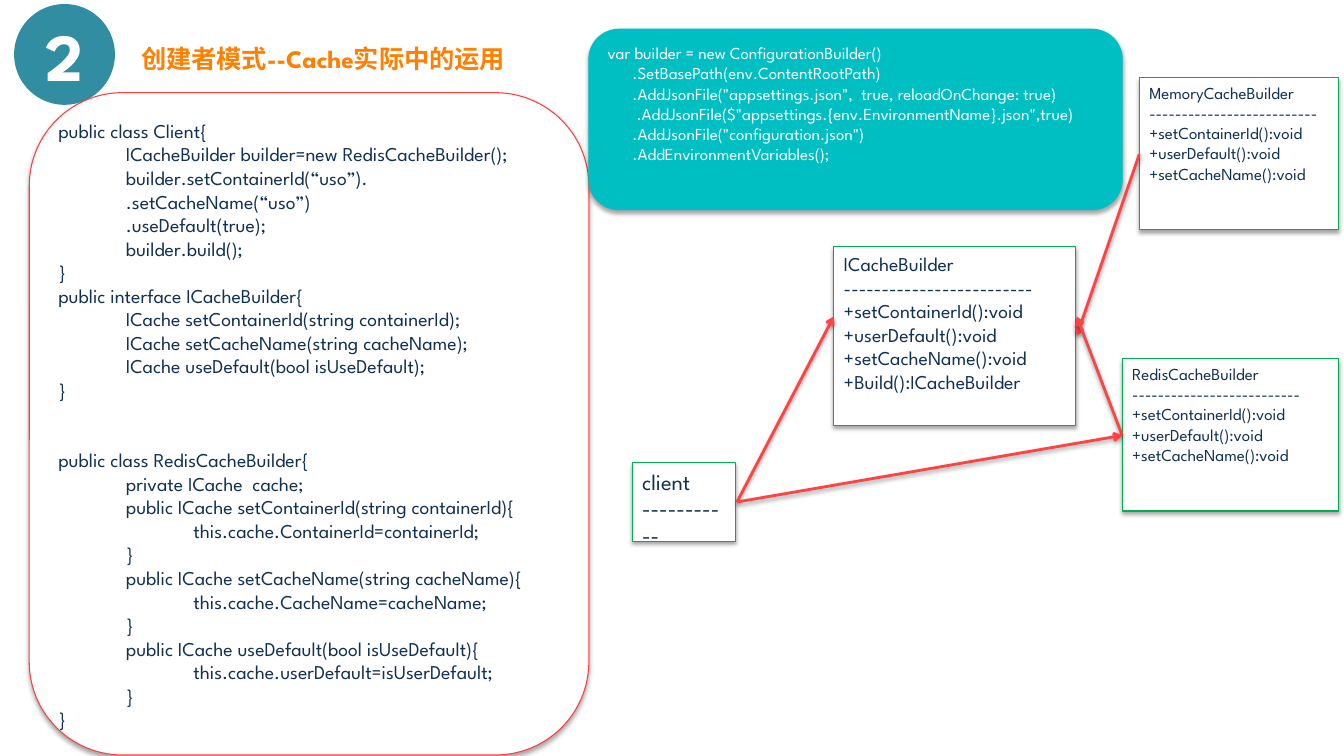
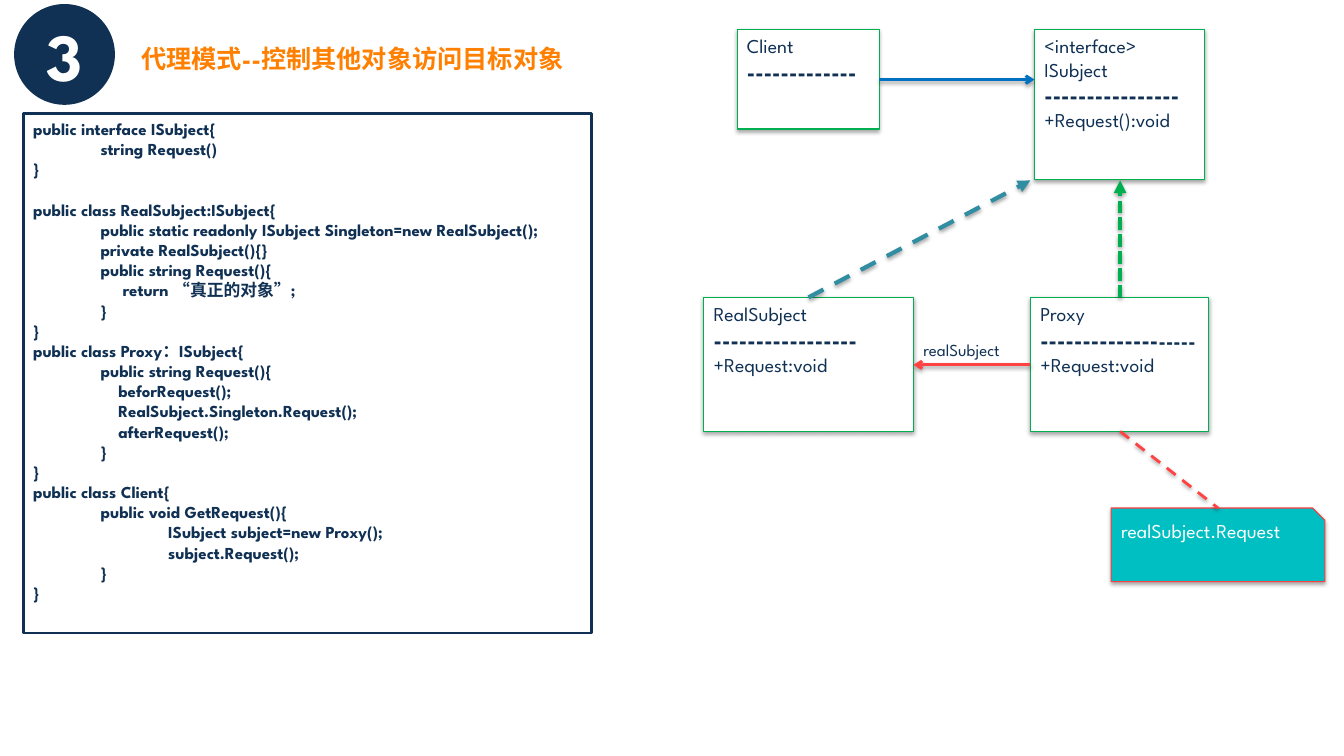
from dataclasses import dataclass
from typing import NamedTuple, Sequence

from lxml import etree
from pptx import Presentation
from pptx.dml.color import RGBColor
from pptx.enum.dml import MSO_LINE
from pptx.enum.shapes import MSO_CONNECTOR, MSO_SHAPE
from pptx.enum.text import MSO_ANCHOR, MSO_AUTO_SIZE, PP_ALIGN
from pptx.oxml.ns import qn
from pptx.util import Inches, Pt

RECTANGLE = MSO_SHAPE.RECTANGLE
ROUNDED = MSO_SHAPE.ROUNDED_RECTANGLE
SNIPPED = MSO_SHAPE.SNIP_1_RECTANGLE
OVAL = MSO_SHAPE.OVAL
STRAIGHT = MSO_CONNECTOR.STRAIGHT
DASH = MSO_LINE.DASH
SHORT_DASH = MSO_LINE.SQUARE_DOT
TOP, MIDDLE = MSO_ANCHOR.TOP, MSO_ANCHOR.MIDDLE
LEFT, CENTER = PP_ALIGN.LEFT, PP_ALIGN.CENTER

FONT = "League Spartan"
COLORS = {
    "white": "FFFFFF",
    "navy": "103154",
    "steel": "308DA2",
    "orange": "FF7F01",
    "teal": "00BFC3",
    "green": "00B050",
    "blue": "0070C0",
    "border_red": "FE3D3D",
    "arrow_red": "FF4343",
}
TITLE_ONLY = 5
TAB_STEP = 0.67
LINE_HEIGHT = 1.2


class Span(NamedTuple):
    text: str
    size: float | None = None
    bold: bool = False


Line = str | tuple[Span, ...]


class Area(NamedTuple):
    left: float
    top: float
    width: float
    height: float


@dataclass(frozen=True)
class Card:
    area: Area
    lines: Sequence[Line] = ()
    size: float = 14
    kind: MSO_SHAPE = RECTANGLE
    fill: str = "white"
    border: str | None = "green"
    border_width: float = 0.75
    text_color: str = "navy"
    bold: bool = False
    shadow: bool = True


@dataclass(frozen=True)
class Link:
    start: tuple[float, float]
    end: tuple[float, float]
    color: str = "arrow_red"
    width: float = 2
    dash: MSO_LINE | None = None
    head: str | None = "arrow"


def rule(count: int) -> tuple[Span, ...]:
    return (Span("-" * count, 16, True),)


def rgb(name: str) -> RGBColor:
    return RGBColor.from_string(COLORS[name])


def inches(values: Sequence[float]) -> list[int]:
    return [Inches(value) for value in values]


def add_tabs(paragraph) -> None:
    properties = paragraph._p.get_or_add_pPr()
    tab_list = etree.SubElement(properties, qn("a:tabLst"))
    for level in (1, 2):
        etree.SubElement(tab_list, qn("a:tab"), pos=str(Inches(TAB_STEP * level)), algn="l")


def add_shadow(shape, alpha: int, distance: float) -> None:
    effects = etree.SubElement(shape.element.spPr, qn("a:effectLst"))
    outer = etree.SubElement(
        effects, qn("a:outerShdw"), blurRad=str(Pt(3.1)), dist=str(Pt(distance)),
        dir="5400000", rotWithShape="0",
    )
    black = etree.SubElement(outer, qn("a:srgbClr"), val="000000")
    etree.SubElement(black, qn("a:alpha"), val=str(alpha * 1000))


def write_text(frame, lines: Sequence[Line], *, size: float, color: str = "navy",
               bold: bool = False, align: PP_ALIGN = LEFT, anchor: MSO_ANCHOR = TOP,
               line_spacing: float | None = None) -> None:
    frame.word_wrap = True
    frame.auto_size = MSO_AUTO_SIZE.NONE
    frame.vertical_anchor = anchor
    paragraph = None
    empty_lines = 0
    for line in lines:
        if not line:
            empty_lines += 1
            continue
        paragraph = frame.add_paragraph() if paragraph else frame.paragraphs[0]
        spans = (Span(line, bold=bold),) if isinstance(line, str) else line
        paragraph.alignment = align
        if line_spacing:
            paragraph.line_spacing = line_spacing
        if empty_lines:
            paragraph.space_before = Pt(empty_lines * size * LINE_HEIGHT)
            empty_lines = 0
        if any("\t" in span.text for span in spans):
            add_tabs(paragraph)
        for span in spans:
            run = paragraph.add_run()
            run.text = span.text
            run.font.name = FONT
            run.font.size = Pt(span.size or size)
            run.font.bold = span.bold
            run.font.color.rgb = rgb(color)


def add_card(slide, card: Card, align: PP_ALIGN = LEFT, anchor: MSO_ANCHOR = TOP) -> None:
    shape = slide.shapes.add_shape(card.kind, *inches(card.area))
    shape.fill.solid()
    shape.fill.fore_color.rgb = rgb(card.fill)
    if card.border:
        shape.line.color.rgb = rgb(card.border)
        shape.line.width = Pt(card.border_width)
    else:
        shape.line.fill.background()
    if card.shadow:
        add_shadow(shape, 35, 1.8)
    else:
        shape.shadow.inherit = False
    write_text(shape.text_frame, card.lines, size=card.size, color=card.text_color,
               bold=card.bold, align=align, anchor=anchor)


def add_text_box(slide, area: Area, lines: Sequence[Line], size: float) -> None:
    box = slide.shapes.add_textbox(*inches(area))
    write_text(box.text_frame, lines, size=size)


def add_link(slide, link: Link) -> None:
    connector = slide.shapes.add_connector(STRAIGHT, *inches(link.start + link.end))
    connector.line.color.rgb = rgb(link.color)
    connector.line.width = Pt(link.width)
    if link.dash:
        connector.line.dash_style = link.dash
    if link.head:
        outline = connector.element.spPr.find(qn("a:ln"))
        etree.SubElement(outline, qn("a:tailEnd"), type=link.head)
    add_shadow(connector, 38, 1.6)


def add_section_slide(presentation, number: str, color: str, title: str):
    slide = presentation.slides.add_slide(presentation.slide_layouts[TITLE_ONLY])
    heading = slide.shapes.title
    heading.left, heading.top, heading.width, heading.height = inches((1.3, 0.29, 8.54, 0.49))
    write_text(heading.text_frame, [title], size=18, color="orange", bold=True,
               anchor=MIDDLE, line_spacing=1.3)
    badge = Card(Area(0.14, 0.04, 1, 1), [number], 48, OVAL, color, None,
                 text_color="white", bold=True, shadow=False)
    add_card(slide, badge, CENTER, MIDDLE)
    return slide


CACHE_CODE = """public class Client{
\tICacheBuilder builder=new RedisCacheBuilder();
\tbuilder.setContainerId(“uso”).
\t.setCacheName(“uso”)
\t.useDefault(true);
\tbuilder.build();
}
public interface ICacheBuilder{
\tICache setContainerId(string containerId);
\tICache setCacheName(string cacheName);
\tICache useDefault(bool isUseDefault);
}


public class RedisCacheBuilder{
\tprivate ICache  cache;
\tpublic ICache setContainerId(string containerId){
\t\tthis.cache.ContainerId=containerId;
\t}
\tpublic ICache setCacheName(string cacheName){
\t\tthis.cache.CacheName=cacheName;
\t}
\tpublic ICache useDefault(bool isUseDefault){
\t\tthis.cache.userDefault=isUserDefault;
\t}
}""".split("\n")

CONFIGURATION_CODE = """var builder = new ConfigurationBuilder()
      .SetBasePath(env.ContentRootPath)
      .AddJsonFile("appsettings.json",  true, reloadOnChange: true)
       .AddJsonFile($"appsettings.{env.EnvironmentName}.json",true)
      .AddJsonFile("configuration.json")
      .AddEnvironmentVariables();""".split("\n")

PROXY_CODE = """public interface ISubject{
\tstring Request()
}

public class RealSubject:ISubject{
\tpublic static readonly ISubject Singleton=new RealSubject();
\tprivate RealSubject(){}
\tpublic string Request(){
\t     return “真正的对象”;
\t}
}
public class Proxy：ISubject{
\tpublic string Request(){
\t    beforRequest();
\t    RealSubject.Singleton.Request();
\t    afterRequest();
\t}
}
public class Client{
\tpublic void GetRequest(){
\t\tISubject subject=new Proxy();
\t\tsubject.Request();
\t}
}""".split("\n")

SETTERS = ["+setContainerId():void", "+userDefault():void", "+setCacheName():void"]

BUILDER_CARDS = [
    Card(Area(6.27, 4.59, 1.03, 0.78), ["client", "-" * 11], 16),
    Card(Area(8.27, 2.45, 2.4, 1.77),
         ["ICacheBuilder", "-" * 25, *SETTERS, "+Build():ICacheBuilder"]),
    Card(Area(11.3, 0.77, 1.98, 1.51), ["MemoryCacheBuilder", "-" * 26, *SETTERS], 12),
    Card(Area(11.13, 3.56, 2.15, 1.51), ["RedisCacheBuilder", "-" * 26, *SETTERS], 12),
]
BUILDER_LINKS = [
    Link((7.31, 4.98), (8.27, 3.14)),
    Link((11.3, 1.53), (10.68, 3.33)),
    Link((11.13, 4.32), (10.68, 3.14)),
    Link((7.31, 4.98), (11.13, 4.32)),
]
PROXY_CARDS = [
    Card(Area(7.31, 0.29, 1.41, 0.99), ["Client", rule(13)]),
    Card(Area(10.26, 0.29, 1.69, 1.49),
         ["<interface>", "ISubject", rule(16), "+Request():void"]),
    Card(Area(10.22, 2.95, 1.77, 1.33),
         ["Proxy", rule(14) + (Span("-" * 5, 14, True),), "+Request:void"]),
    Card(Area(6.98, 2.95, 2.08, 1.33), ["RealSubject", rule(17), "+Request:void"]),
    Card(Area(0.23, 1.13, 5.64, 5.15), PROXY_CODE, 12, border="navy", border_width=2,
         bold=True, shadow=False),
    Card(Area(11.02, 5.04, 2.12, 0.73), ["realSubject.Request"], kind=SNIPPED,
         fill="teal", border="border_red", text_color="white"),
]
PROXY_LINKS = [
    Link((11.11, 2.95), (11.11, 1.79), "green", 3, SHORT_DASH, "triangle"),
    Link((8.72, 0.79), (10.26, 0.79), "blue"),
    Link((10.22, 3.62), (9.06, 3.62)),
    Link((8.02, 2.95), (10.22, 1.79), "steel", 3, DASH, "triangle"),
    Link((11.11, 4.28), (12.08, 5.04), dash=DASH, head=None),
]


def add_diagram(slide, cards: Sequence[Card], links: Sequence[Link]) -> None:
    for card in cards:
        add_card(slide, card)
    for link in links:
        add_link(slide, link)


def build_builder_slide(presentation) -> None:
    slide = add_section_slide(presentation, "2", "steel", "创建者模式--Cache实际中的运用")
    add_card(slide, Card(Area(0.29, 0.92, 5.55, 6.57), kind=ROUNDED, border="border_red"))
    add_text_box(slide, Area(0.48, 1.13, 5.44, 6.46), CACHE_CODE, 14)
    add_diagram(slide, BUILDER_CARDS, BUILDER_LINKS)
    add_card(slide, Card(Area(5.84, 0.29, 5.29, 1.79), CONFIGURATION_CODE, 12, ROUNDED,
                         "teal", "teal", text_color="white"))


def build_proxy_slide(presentation) -> None:
    slide = add_section_slide(presentation, "3", "navy", "代理模式--控制其他对象访问目标对象")
    add_diagram(slide, PROXY_CARDS, PROXY_LINKS)
    add_text_box(slide, Area(9.06, 3.32, 1.17, 0.3), ["realSubject"], 12)


def main() -> None:
    presentation = Presentation()
    presentation.slide_width, presentation.slide_height = inches((13.33, 7.5))
    build_builder_slide(presentation)
    build_proxy_slide(presentation)
    presentation.save("out.pptx")


if __name__ == "__main__":
    main()
